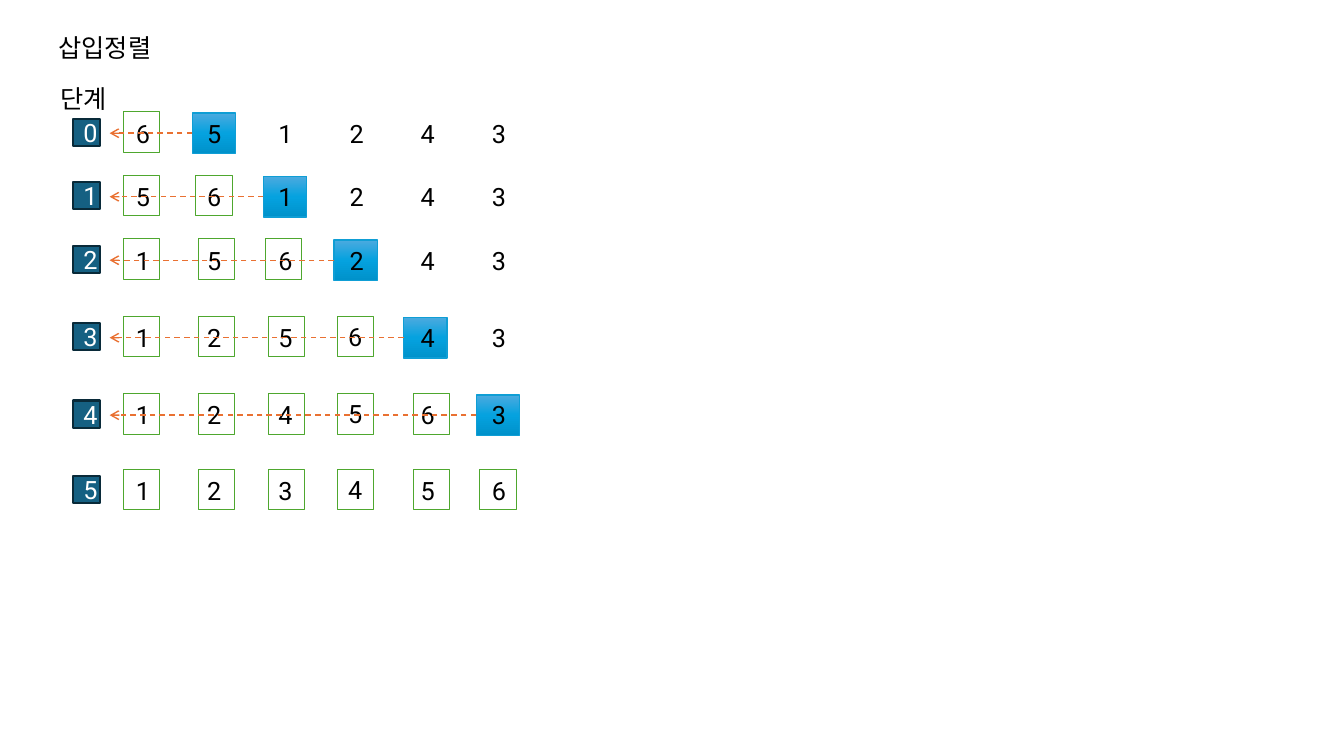
from copy import deepcopy

from pptx import Presentation
from pptx.dml.color import RGBColor
from pptx.enum.dml import MSO_LINE
from pptx.enum.shapes import MSO_CONNECTOR, MSO_SHAPE
from pptx.enum.text import MSO_ANCHOR, MSO_AUTO_SIZE, PP_ALIGN
from pptx.oxml.ns import qn
from pptx.util import Inches, Pt

# Grid: column 0, row 0 is the first digit of the first step
LEFT, TOP = 1.25, 1.12
COLUMN, ROW = 0.706, 0.63

NUMBERS = [6, 5, 1, 2, 4, 3]
STEP_ROWS = [0, 1, 2, 3.22, 4.44, 5.63]
FRAME_SHIFTS = [-0.04, 0.02, 0, -0.03, 0.04, -0.03]
KEY_SHIFTS = [-0.07, -0.07, -0.08, -0.1, -0.08]
CELL_HEIGHT = 0.64

FRAME = {"line": "4EA72E", "width": 0.75}
KEY = {"gradient": ["4CAADF", "05A2DF", "0092CB"], "line": "0F9ED5", "width": 1}
BADGE = {"fill": "156082", "line": "092A39", "width": 1.5}


def color(value):
    return RGBColor.from_string(value)


class SortBoard:
    """Draws the parts of a sorting walk-through on a column and row grid."""

    font = {"name": "Roboto", "size": Pt(18), "bold": False}
    text_format = {
        "word_wrap": False,
        "vertical_anchor": MSO_ANCHOR.TOP,
        "auto_size": MSO_AUTO_SIZE.SHAPE_TO_FIT_TEXT,
    }
    badge_format = {"word_wrap": True, "vertical_anchor": MSO_ANCHOR.MIDDLE}

    def __init__(self, slide):
        self.slide = slide

    def point(self, column, row):
        return Inches(LEFT + COLUMN * column), Inches(TOP + ROW * row)

    def box(self, column, row, columns, rows):
        return (*self.point(column, row), Inches(COLUMN * columns), Inches(ROW * rows))

    def label(self, shape, text, text_format, text_color="000000", align=PP_ALIGN.LEFT):
        frame = shape.text_frame
        frame.text = text
        for name, value in text_format.items():
            setattr(frame, name, value)
        paragraph = frame.paragraphs[0]
        paragraph.alignment = align
        font = paragraph.runs[0].font
        for name, value in self.font.items():
            setattr(font, name, value)
        font.color.rgb = color(text_color)

    def title(self, text, *place):
        shape = self.slide.shapes.title
        for name, value in zip(("left", "top", "width", "height"), self.box(*place)):
            setattr(shape, name, value)
        self.label(shape, text, self.text_format)

    def text(self, text, *place):
        self.label(self.slide.shapes.add_textbox(*self.box(*place)), text, self.text_format)

    def rectangle(self, style, *place):
        shape = self.slide.shapes.add_shape(MSO_SHAPE.RECTANGLE, *self.box(*place))
        shape.shadow.inherit = False
        shape.line.color.rgb = color(style["line"])
        shape.line.width = Pt(style["width"])
        if "gradient" in style:
            self.shade(shape, style["gradient"])
        elif "fill" in style:
            shape.fill.solid()
            shape.fill.fore_color.rgb = color(style["fill"])
        else:
            shape.fill.background()
        return shape

    def shade(self, shape, colors):
        fill = shape.fill
        fill.gradient()
        fill.gradient_angle = 270
        stop_list = shape._element.spPr.find(qn("a:gradFill")).find(qn("a:gsLst"))
        stop_list.append(deepcopy(stop_list[0]))
        for index, (stop, value) in enumerate(zip(fill.gradient_stops, colors)):
            stop.color.rgb = color(value)
            stop.position = index / (len(colors) - 1)

    def badge(self, text, *place):
        shape = self.rectangle(BADGE, *place)
        self.label(shape, text, self.badge_format, "FFFFFF", PP_ALIGN.CENTER)

    def arrow(self, start, end, row):
        connector = self.slide.shapes.add_connector(
            MSO_CONNECTOR.STRAIGHT, *self.point(start, row), *self.point(end, row))
        line = connector.line
        line.color.rgb = color("E97132")
        line.width = Pt(1)
        line.dash_style = MSO_LINE.DASH
        properties = connector._element.spPr
        outline = properties.find(qn("a:ln"))
        outline.append(outline.makeelement(qn("a:tailEnd"), {"type": "arrow"}))
        properties.append(properties.makeelement(qn("a:effectLst"), {}))

    def step(self, step, row):
        # The first numbers are in order, the next one is the key
        count = step + 1
        numbers = sorted(NUMBERS[:count]) + NUMBERS[count:]
        has_key = count < len(numbers)
        if has_key:
            key_column = count + KEY_SHIFTS[step]
            self.rectangle(KEY, key_column, row, 0.61, CELL_HEIGHT)
        self.badge(str(step), -0.74, row + 0.09, 0.38, 0.43)

        for column, number in enumerate(numbers):
            raised = column == 3 and step >= 3
            shift = 0.02 if raised else 0
            self.text(str(number), column - shift, row - shift, 0.48, CELL_HEIGHT)

        # Frames around the ordered part
        for column in range(count):
            nudge = 0.04 if column == step and step in (1, 2) else 0
            left = column + FRAME_SHIFTS[column] - nudge
            self.rectangle(FRAME, left, row - 0.02, 0.51, CELL_HEIGHT)
        if has_key:
            self.arrow(key_column, -0.23, row + 0.32)


def main():
    presentation = Presentation()
    presentation.slide_width = Inches(13.33)
    presentation.slide_height = Inches(7.5)
    board = SortBoard(presentation.slides.add_slide(presentation.slide_layouts[5]))

    # Headings
    board.title("삽입정렬", -1.09, -1.35, 1.71, CELL_HEIGHT)
    board.text("단계", -1.06, -0.54, 1.01, CELL_HEIGHT)

    # Steps of the insertion sort
    for step, row in enumerate(STEP_ROWS):
        board.step(step, row)

    presentation.save("out.pptx")


if __name__ == "__main__":
    main()
